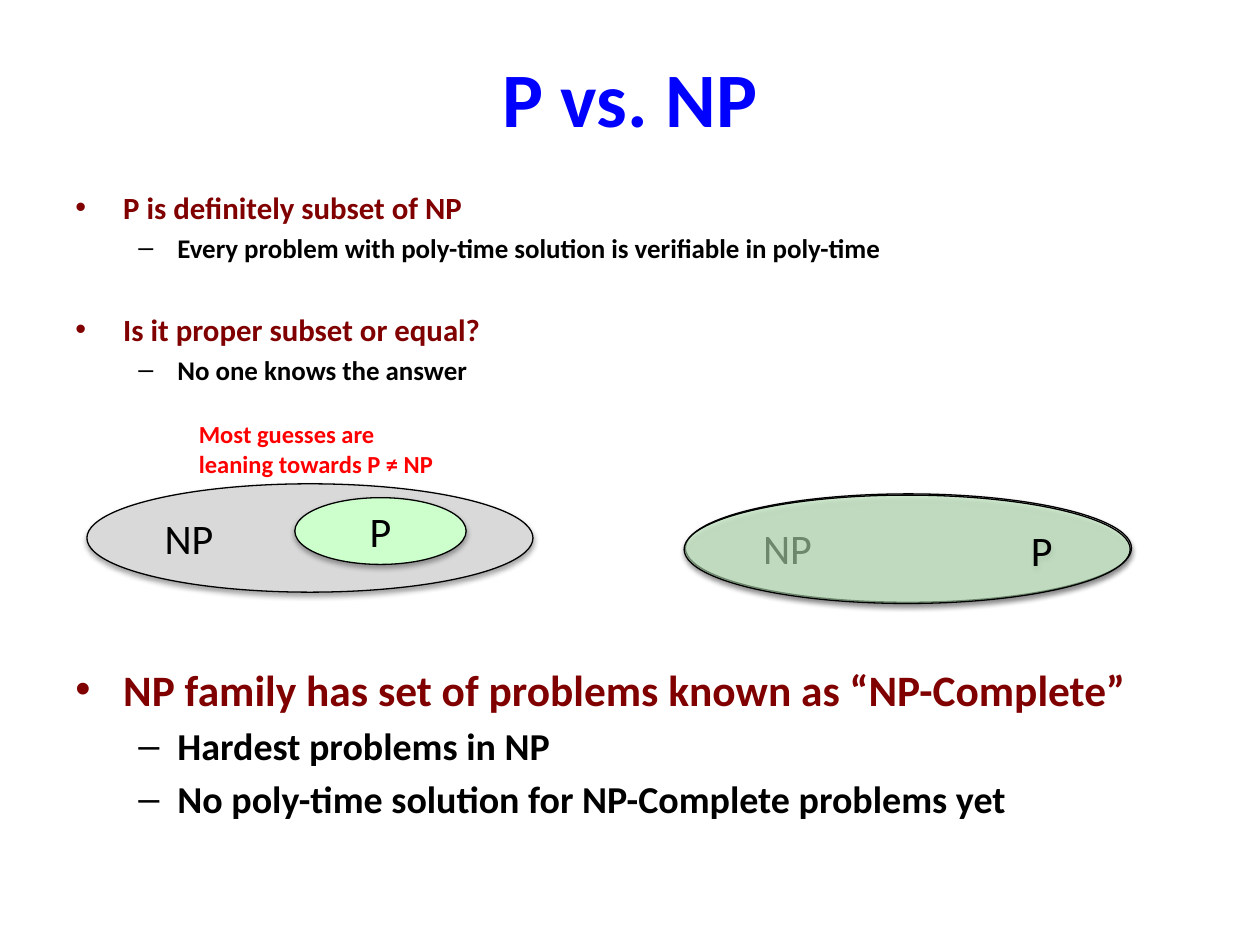
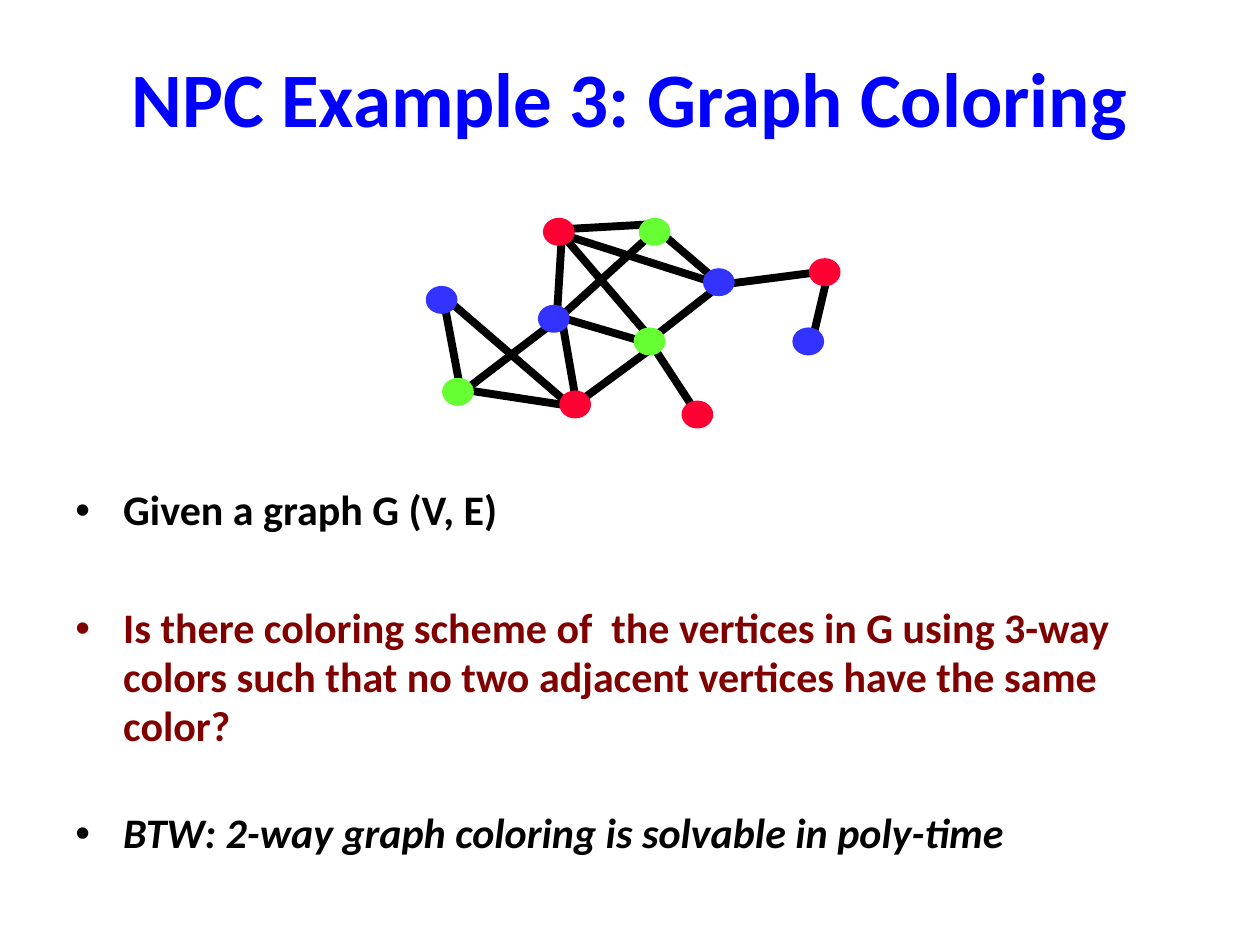
from pptx import Presentation
from pptx.dml.color import RGBColor
from pptx.enum.shapes import MSO_CONNECTOR, MSO_SHAPE
from pptx.enum.text import MSO_ANCHOR, PP_ALIGN
from pptx.oxml.ns import qn
from pptx.util import Pt
from lxml import etree

PX = 9144  # EMU in one px, 100 px to the inch
FONT = "Calibri"
BLANK_LAYOUT = 6

LEFT, CENTER, RIGHT = PP_ALIGN.LEFT, PP_ALIGN.CENTER, PP_ALIGN.RIGHT
TOP, MIDDLE = MSO_ANCHOR.TOP, MSO_ANCHOR.MIDDLE
OVAL, STRAIGHT = MSO_SHAPE.OVAL, MSO_CONNECTOR.STRAIGHT

BLACK = RGBColor(0x00, 0x00, 0x00)
WHITE = RGBColor(0xFF, 0xFF, 0xFF)
TITLE_BLUE = RGBColor(0x00, 0x00, 0xFF)
MAROON = RGBColor(0x80, 0x00, 0x00)
NOTE_RED = RGBColor(0xFF, 0x00, 0x00)
NP_GRAY = RGBColor(0xD9, 0xD9, 0xD9)
P_GREEN = RGBColor(0xCC, 0xFF, 0xCC)
NODE_RED = RGBColor(0xFF, 0x00, 0x33)
NODE_BLUE = RGBColor(0x33, 0x33, 0xFF)
NODE_GREEN = RGBColor(0x66, 0xFF, 0x33)

# Bullet sign, left margin and hanging indent (px) for each list level
LEVELS = [("•", 38, 38), ("–", 81, 31)]
NODE_WIDTH, NODE_HEIGHT = 21, 18


def add_xml(parent, tag, **attributes):
    return etree.SubElement(parent, qn(tag), attributes)


class Deck:
    """Holds the shared style and the current slide."""

    def __init__(self):
        self.presentation = Presentation()
        self.presentation.slide_width = 1000 * PX
        self.presentation.slide_height = 750 * PX
        self.slide = None

    def new_slide(self, title):
        layout = self.presentation.slide_layouts[BLANK_LAYOUT]
        self.slide = self.presentation.slides.add_slide(layout)
        self.slide.background.fill.solid()
        self.slide.background.fill.fore_color.rgb = WHITE
        self.text(title, 50, 30, 900, 94, 44, TITLE_BLUE, CENTER, MIDDLE)

    def run(self, paragraph, text, size, color, bold=True, italic=False):
        run = paragraph.add_run()
        run.text = text
        font = run.font
        font.name, font.size = FONT, Pt(size)
        font.bold, font.italic = bold, italic
        font.color.rgb = color

    def frame(self, left, top, width, height, anchor=TOP):
        box = self.slide.shapes.add_textbox(
            left * PX, top * PX, width * PX, height * PX)
        box.text_frame.word_wrap = True
        box.text_frame.vertical_anchor = anchor
        return box.text_frame

    def text(self, text, left, top, width, height, size, color,
             align=LEFT, anchor=TOP):
        paragraph = self.frame(left, top, width, height, anchor).paragraphs[0]
        paragraph.alignment = align
        self.run(paragraph, text, size, color)

    def bullets(self, top, height, items, line_spacing=1.0):
        """Each item: level, space before, size, colour, italic, text."""
        frame = self.frame(50, top, 900, height)
        for index, (level, before, size, color, italic, text) in enumerate(items):
            paragraph = frame.add_paragraph() if index else frame.paragraphs[0]
            sign, margin, hanging = LEVELS[level]
            properties = paragraph._p.get_or_add_pPr()
            properties.set("marL", str(margin * PX))
            properties.set("indent", str(-hanging * PX))
            add_xml(properties, "a:buFont", typeface="Arial")
            add_xml(properties, "a:buChar", char=sign)
            paragraph.level = level
            paragraph.line_spacing = line_spacing
            paragraph.space_before = Pt(before)
            self.run(paragraph, text, size, color, italic=italic)

    def ellipse(self, left, top, width, height, fill, line, line_width):
        shape = self.slide.shapes.add_shape(
            OVAL, left * PX, top * PX, width * PX, height * PX)
        shape.fill.solid()
        shape.fill.fore_color.rgb = fill
        shape.line.color.rgb = line
        shape.line.width = Pt(line_width)
        shape.shadow.inherit = False
        return shape

    def set_ellipse(self, label, left, top, width, height, fill, align,
                    opacity=None):
        """A labelled set with a soft shadow below it."""
        shape = self.ellipse(left, top, width, height, fill, BLACK, 0.75)
        properties = shape._element.spPr
        if opacity:
            color = properties.find(qn("a:solidFill")).find(qn("a:srgbClr"))
            add_xml(color, "a:alpha", val=str(opacity * 1000))
        shadow = add_xml(properties.find(qn("a:effectLst")), "a:outerShdw",
                         blurRad=str(Pt(3.1)), dist=str(Pt(1.8)),
                         dir="5400000", rotWithShape="0")
        color = add_xml(shadow, "a:srgbClr", val=str(BLACK))
        add_xml(color, "a:alpha", val="35000")
        shape.text_frame.vertical_anchor = MIDDLE
        paragraph = shape.text_frame.paragraphs[0]
        paragraph.alignment = align
        self.run(paragraph, label, 24, BLACK, bold=False)

    def node(self, left, top, color):
        self.ellipse(left, top, NODE_WIDTH, NODE_HEIGHT, color, color, 3)

    def edge(self, *ends):
        connector = self.slide.shapes.add_connector(
            STRAIGHT, *(end * PX for end in ends))
        connector.line.color.rgb = BLACK
        connector.line.width = Pt(4.5)
        add_xml(connector._element.spPr, "a:effectLst")


def build_p_vs_np(deck):
    deck.new_slide("P vs. NP")
    deck.bullets(145, 151, [
        (0, 0, 17.6, MAROON, False, "P is definitely subset of NP"),
        (1, 3.1, 15.4, BLACK, False,
         "Every problem with poly-time solution is verifiable in poly-time"),
        (0, 27, 17.6, MAROON, False, "Is it proper subset or equal?"),
        (1, 3.1, 15.4, BLACK, False, "No one knows the answer"),
    ])
    deck.bullets(521, 151, [
        (0, 0, 24.8, MAROON, False,
         "NP family has set of problems known as “NP-Complete”"),
        (1, 4.3, 21.7, BLACK, False, "Hardest problems in NP"),
        (1, 4.3, 21.7, BLACK, False,
         "No poly-time solution for NP-Complete problems yet"),
    ])

    # P as a proper subset, then P equal to NP
    deck.set_ellipse("NP", 69, 384, 354, 86, NP_GRAY, LEFT)
    deck.set_ellipse("P", 234, 395, 136, 53, P_GREEN, CENTER)
    deck.set_ellipse("NP", 544, 392, 354, 86, NP_GRAY, LEFT)
    deck.set_ellipse("P", 543, 393, 354, 86, P_GREEN, RIGHT, opacity=53)
    deck.text("Most guesses are leaning towards P ≠ NP",
              148, 328, 210, 57, 14, NOTE_RED)


def build_graph_coloring(deck):
    deck.new_slide("NPC Example 3: Graph Coloring")
    deck.bullets(381, 289, [
        (0, 0, 24, BLACK, False, "Given a graph G (V, E)"),
        (0, 38.8, 24, MAROON, False,
         "Is there coloring scheme of  the vertices in G using 3-way colors "
         "such that no two adjacent vertices have the same color?"),
        (0, 32.5, 24, BLACK, True,
         "BTW: 2-way graph coloring is solvable in poly-time"),
    ], line_spacing=0.98)

    # Edges: from x, from y, to x, to y
    edges = [
        (353, 243, 366, 312), (366, 312, 442, 254), (446, 186, 442, 251),
        (446, 254, 458, 323), (517, 273, 442, 251), (522, 273, 458, 320),
        (526, 186, 568, 222), (517, 273, 555, 331), (657, 218, 644, 273),
        (657, 215, 572, 226), (517, 178, 446, 182), (517, 186, 442, 254),
        (446, 186, 517, 269), (572, 226, 517, 269), (572, 226, 446, 186),
        (353, 236, 454, 323), (366, 309, 458, 323),
    ]
    for ends in edges:
        deck.edge(*ends)

    # Vertices by colour: left, top
    vertices = {
        NODE_RED: [(433, 175), (543, 320), (644, 207), (446, 312)],
        NODE_BLUE: [(340, 229), (560, 215), (631, 262), (429, 244)],
        NODE_GREEN: [(505, 262), (353, 302), (509, 175)],
    }
    for color, corners in vertices.items():
        for left, top in corners:
            deck.node(left, top, color)


def main():
    deck = Deck()
    build_p_vs_np(deck)
    build_graph_coloring(deck)
    deck.presentation.save("out.pptx")


if __name__ == "__main__":
    main()
